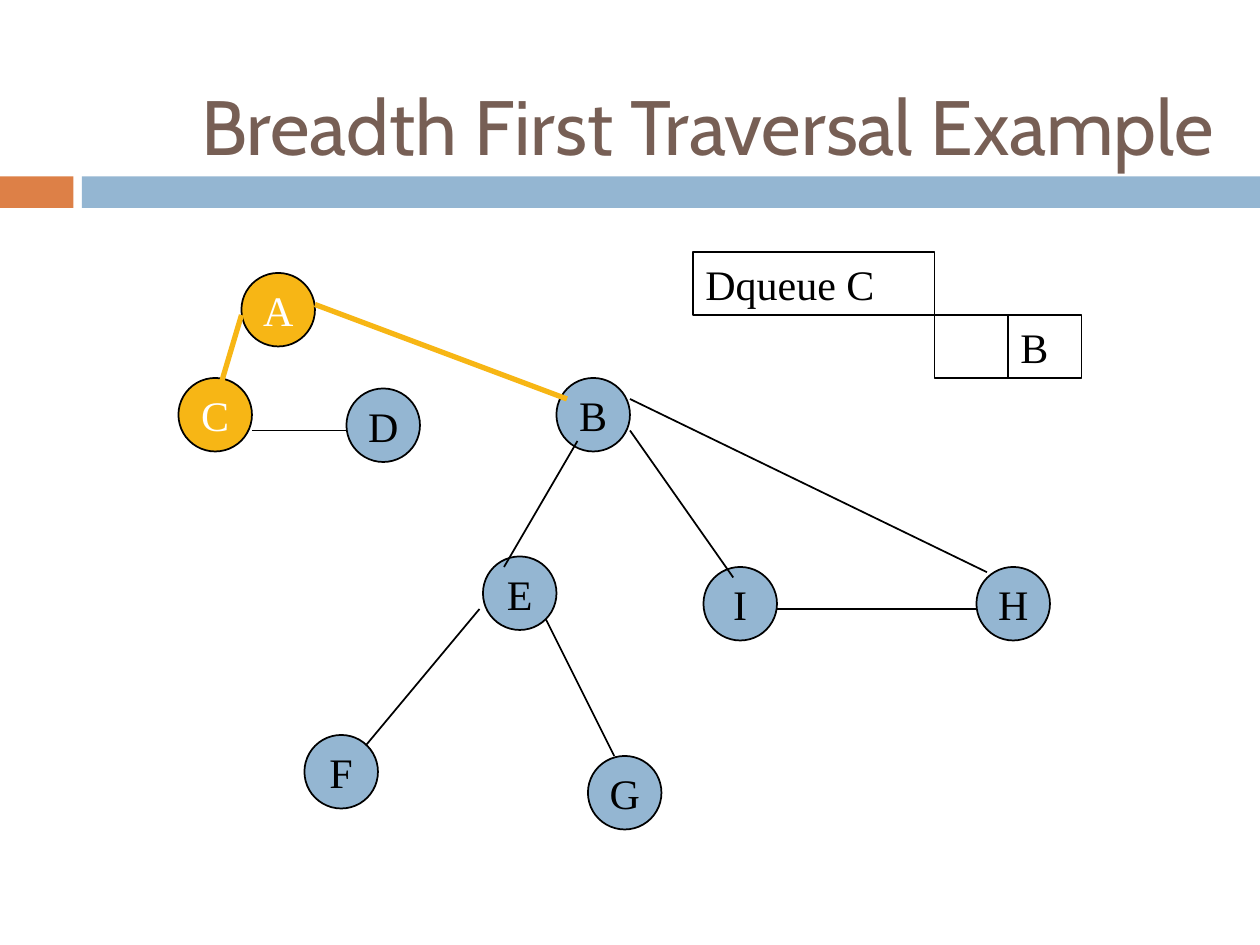
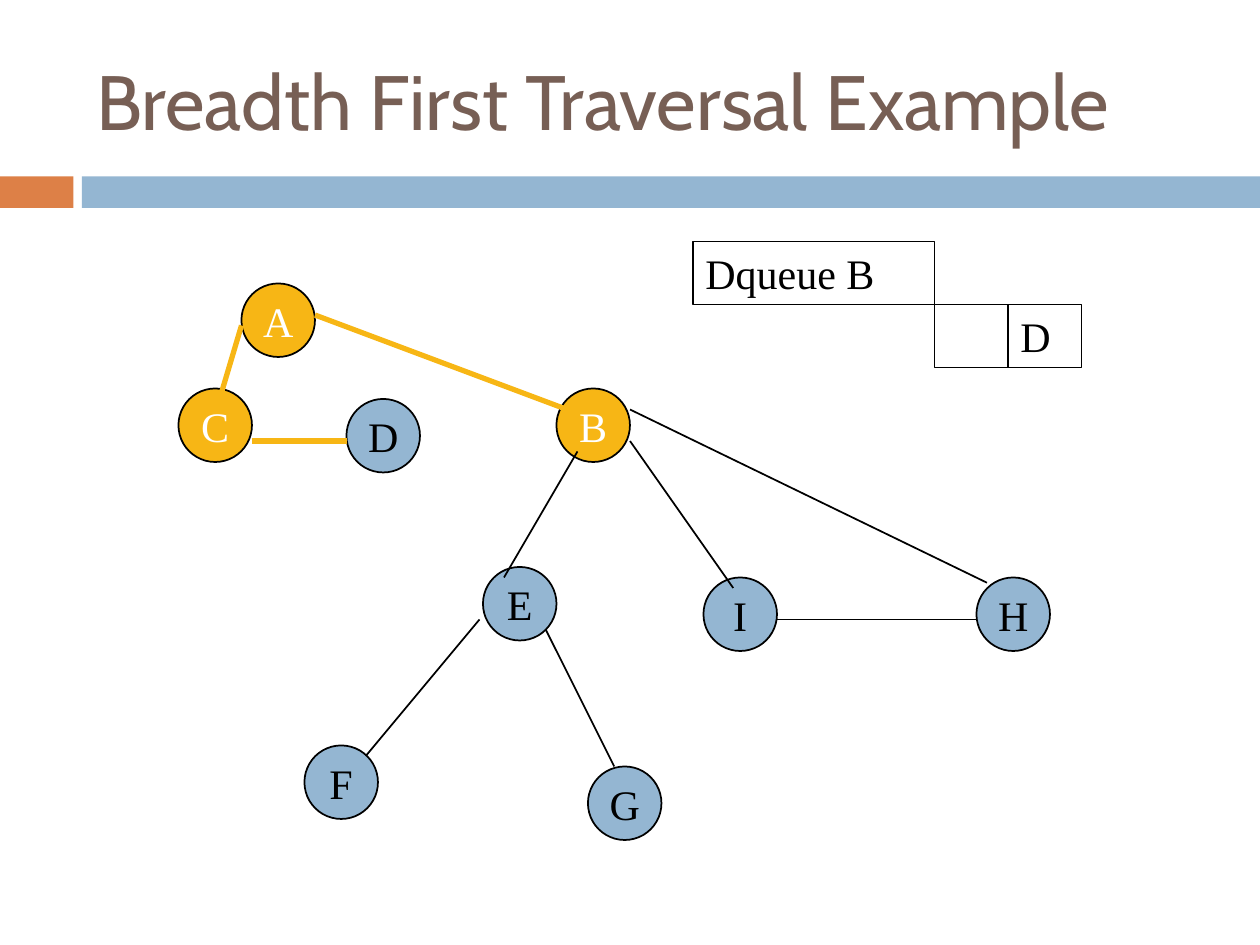
import dataclasses

import pptx
import pptx.dml.color
import pptx.enum.shapes
import pptx.enum.text
import pptx.oxml.ns
import pptx.util
from lxml import etree

Pt = pptx.util.Pt
SHAPES = pptx.enum.shapes.MSO_SHAPE
ALIGN = pptx.enum.text.PP_ALIGN


def rgb(code):
    return pptx.dml.color.RGBColor.from_string(code)


@dataclasses.dataclass(frozen=True)
class Theme:
    title: pptx.dml.color.RGBColor = rgb("775F55")
    accent: pptx.dml.color.RGBColor = rgb("DD8047")
    blue: pptx.dml.color.RGBColor = rgb("94B6D2")
    visited: pptx.dml.color.RGBColor = rgb("F7B615")
    black: pptx.dml.color.RGBColor = rgb("000000")
    white: pptx.dml.color.RGBColor = rgb("FFFFFF")
    title_font: str = "Cabin"
    body_font: str = "Times New Roman"
    title_size: int = 44
    body_size: int = 24


theme = Theme()


def add_box(page, kind, place, fill, outline=None, text="", color=theme.black,
            font=(theme.body_font, theme.body_size), align=ALIGN.LEFT, wrap=False):
    """Add a shape with optional fill, black outline and one line of text."""
    box = page.shapes.add_shape(kind, *map(Pt, place))
    box.shadow.inherit = False
    if fill is None:
        box.fill.background()
    else:
        box.fill.solid()
        box.fill.fore_color.rgb = fill
    if outline is None:
        box.line.fill.background()
    else:
        box.line.color.rgb = theme.black
        box.line.width = Pt(outline)
    if text:
        frame = box.text_frame
        frame.text = text
        frame.word_wrap = wrap
        frame.vertical_anchor = pptx.enum.text.MSO_ANCHOR.MIDDLE
        para = frame.paragraphs[0]
        para.alignment = align
        span = para.runs[0]
        span.font.name, span.font.size = font[0], Pt(font[1])
        span.font.color.rgb = color


# Top left corner of every graph node
node_size = 42
nodes = {
    "A": (138, 156), "C": (102, 216), "D": (198, 222),
    "B": (318, 216), "E": (276, 318), "F": (174, 420),
    "G": (336, 432), "I": (402, 324), "H": (558, 324),
}

# Start and end point of every graph edge
edges = {
    "AC": (138, 180, 125.5, 222),
    "CD": (144, 246, 198, 246),
    "AB": (180, 174, 324, 228),
    "BE": (330, 252, 288, 324),
    "EF": (274, 348, 209, 426),
    "EG": (312, 354, 351, 432),
    "BI": (360, 246, 419, 330),
    "BH": (360, 228, 564, 327),
    "IH": (444, 348, 558, 348),
}

# What changes from one traversal step to the next
steps = [
    dict(title_place=(108, 24, 612, 95), graph_shift=0, queue_top=144,
         visited="AC", followed=("AC", "AB"), hairlines=("CD",),
         action="Dqueue C", waiting="B"),
    dict(title_place=(48, 18, 642, 78), graph_shift=6, queue_top=138,
         visited="ACB", followed=("AC", "CD", "AB"), hairlines=(),
         action="Dqueue B", waiting="D"),
]

deck = pptx.Presentation()
deck.slide_width, deck.slide_height = Pt(720), Pt(540)

for step in steps:
    page = deck.slides.add_slide(deck.slide_layouts[6])

    # Bands and title
    add_box(page, SHAPES.RECTANGLE, (0, 100.8, 42, 18), theme.accent)
    add_box(page, SHAPES.RECTANGLE, (46.8, 100.8, 673.2, 18), theme.blue)
    add_box(page, SHAPES.RECTANGLE, step["title_place"], None,
            text="Breadth First Traversal Example", color=theme.title,
            font=(theme.title_font, theme.title_size), wrap=True)

    # Graph nodes
    shift = step["graph_shift"]
    for name, (left, top) in nodes.items():
        visited = name in step["visited"]
        add_box(page, SHAPES.OVAL, (left, top + shift, node_size, node_size),
                theme.visited if visited else theme.blue, 1, name,
                theme.white if visited else theme.black, align=ALIGN.CENTER)

    # Graph edges
    for name, (x1, y1, x2, y2) in edges.items():
        followed = name in step["followed"]
        edge = page.shapes.add_connector(
            pptx.enum.shapes.MSO_CONNECTOR.STRAIGHT,
            Pt(x1), Pt(y1 + shift), Pt(x2), Pt(y2 + shift))
        edge.line.color.rgb = theme.visited if followed else theme.black
        edge.line.width = Pt(3 if followed else 0.25 if name in step["hairlines"] else 1)
        etree.SubElement(edge._element.spPr, pptx.oxml.ns.qn("a:effectLst"))

    # Queue: the action, then the emptied cell and the waiting cell below it
    top = step["queue_top"]
    for left, cell_top, width, text in [
        (534, top + 36, 42, ""),
        (396, top, 138, step["action"]),
        (576, top + 36, 42, step["waiting"]),
    ]:
        add_box(page, SHAPES.RECTANGLE, (left, cell_top, width, 36),
                theme.white, 0.75, text)

deck.save("out.pptx")
